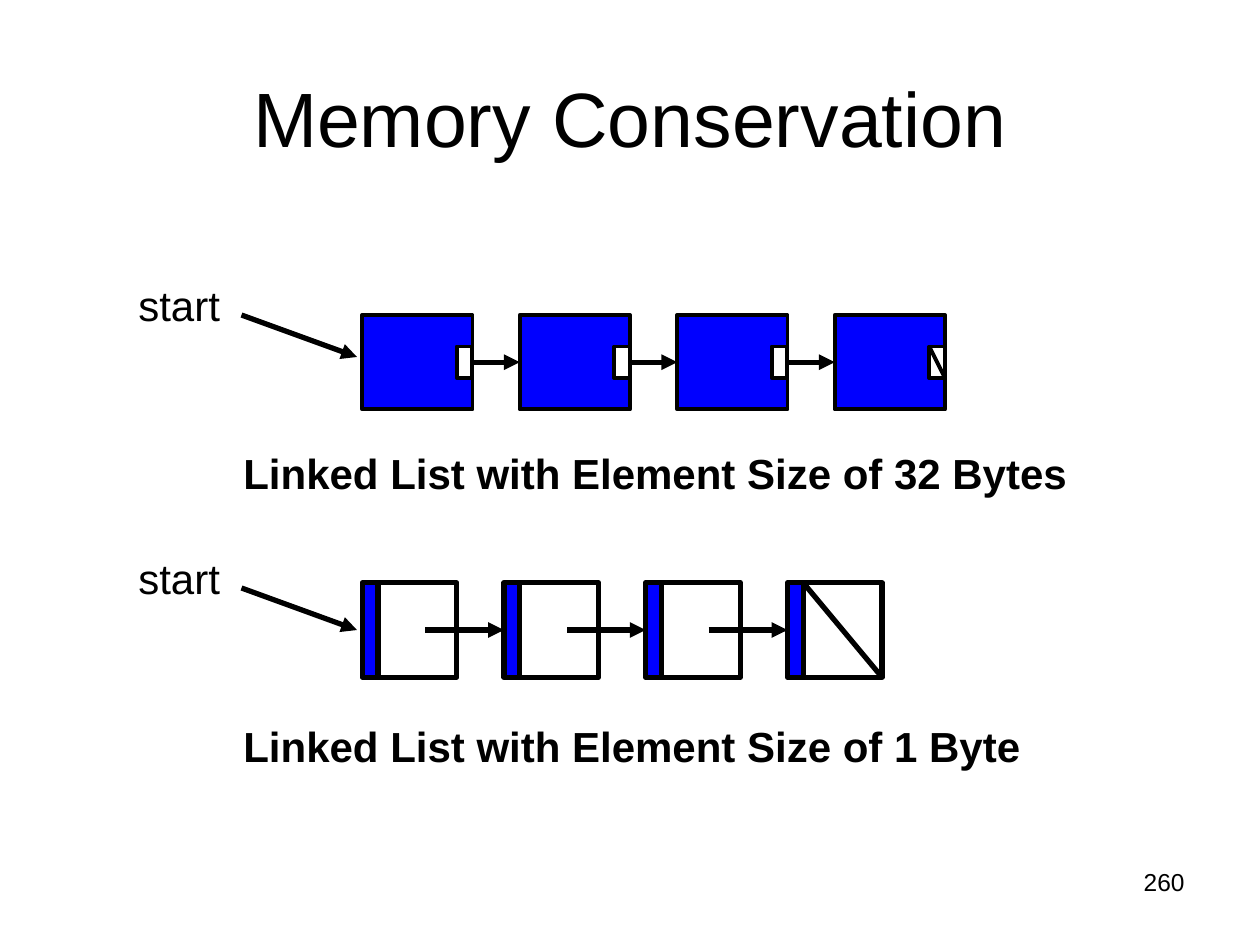
from lxml.etree import SubElement
from pptx import Presentation
from pptx.dml.color import RGBColor
from pptx.enum.shapes import MSO_CONNECTOR as CONN, MSO_SHAPE as SHAPE
from pptx.enum.text import MSO_ANCHOR as ANCHOR, PP_ALIGN as ALIGN
from pptx.oxml.ns import qn
from pptx.util import Pt

PX = 7620
COLORS = {"ink": "000000", "data": "0000FF", "link": "FFFFFF"}


def px(*lengths):
    return [n * PX for n in lengths]


def rgb(name):
    return RGBColor.from_string(COLORS[name])


def add_text(s, box, text, size, bold=False, align=ALIGN.LEFT, anchor=ANCHOR.TOP):
    tf = s.shapes.add_textbox(*px(*box)).text_frame
    tf.word_wrap = True
    tf.vertical_anchor = anchor
    p = tf.paragraphs[0]
    p.alignment = align
    r = p.add_run()
    r.text = text
    r.font.color.rgb = rgb("ink")
    for name, value in {"name": "Arial", "size": Pt(size), "bold": bold}.items():
        setattr(r.font, name, value)


def add_rect(s, box, fill, weight):
    sp = s.shapes.add_shape(SHAPE.RECTANGLE, *px(*box))
    sp.shadow.inherit = False
    sp.fill.solid()
    sp.fill.fore_color.rgb = rgb(fill)
    sp.line.color.rgb = rgb("ink")
    sp.line.width = Pt(weight)


def add_line(s, ends, weight=3, arrow=True):
    c = s.shapes.add_connector(CONN.STRAIGHT, *px(*ends))
    c.line.color.rgb = rgb("ink")
    c.line.width = Pt(weight)
    if arrow:
        SubElement(c.line._ln, qn("a:tailEnd"), type="triangle")
    SubElement(c._element.spPr, qn("a:effectLst"))


def add_large_node(s, x, y, last):
    w, h, link_w, link_h, gap = 105, 90, 15, 30, 45
    link_x, link_y = x + w - link_w, y + (h - link_h) // 2
    add_rect(s, (x, y, w, h), "data", 2.25)
    add_rect(s, (link_x, link_y, link_w, link_h), "link", 2.25)
    if last:
        add_line(s, (link_x, link_y, x + w, link_y + link_h), 2.25, False)
    else:
        add_line(s, (x + w, y + h // 2, x + w + gap, y + h // 2))


def add_small_node(s, x, y, last):
    data_w, link_w, h, gap = 15, 75, 90, 45
    right = x + data_w + link_w
    add_rect(s, (x, y, data_w, h), "data", 3)
    add_rect(s, (x + data_w, y, link_w, h), "link", 3)
    if last:
        add_line(s, (x + data_w, y, right, y + h), arrow=False)
    else:
        add_line(s, (right - 30, y + h // 2, right + gap, y + h // 2))


def add_linked_list(s, x, y, caption, add_node, pitch, node_dy, count=4):
    for i in range(count):
        add_node(s, x + 225 + i * pitch, y + node_dy, i == count - 1)
    add_text(s, (x + 100, y + 160, 830, 45), caption, 24, bold=True)
    add_text(s, (x, y, 170, 60), "start", 24)
    add_line(s, (x + 110, y + 40, x + 220, y + 80))


def main():
    prs = Presentation()
    prs.slide_width, prs.slide_height = px(1200, 900)
    s = prs.slides.add_slide(prs.slide_layouts[6])
    add_text(s, (60, 36, 1080, 150), "Memory Conservation", 44,
             align=ALIGN.CENTER, anchor=ANCHOR.MIDDLE)
    add_linked_list(s, 120, 260, "Linked List with Element Size of 32 Bytes",
                    add_large_node, 150, 40)
    add_linked_list(s, 120, 520, "Linked List with Element Size of 1 Byte",
                    add_small_node, 135, 35)
    add_text(s, (860, 820, 280, 62), "260", 14, align=ALIGN.RIGHT)
    prs.save("out.pptx")


if __name__ == "__main__":
    main()
